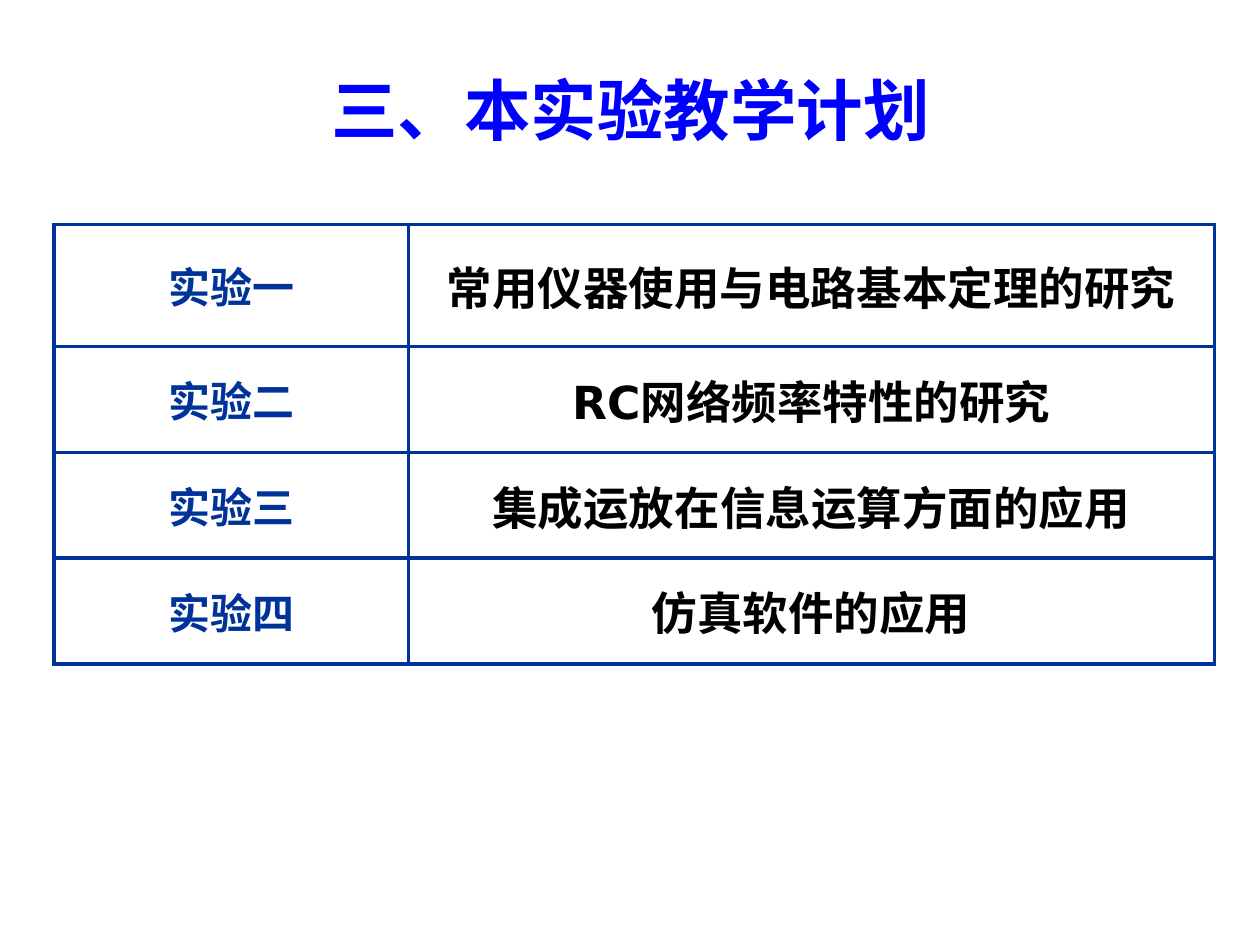
from lxml import etree
from pptx import Presentation
from pptx import util as u
from pptx.dml.color import RGBColor
from pptx.enum import text as t
from pptx.oxml import ns

NAVY, BLUE, BLACK = "003399", "0000FF", "000000"
HEADING_FONT, LABEL_FONT = "DejaVu Sans", "Arial"

EXPERIMENTS = [
    ("实验一", "常用仪器使用与电路基本定理的研究"),
    ("实验二", "RC网络频率特性的研究"),
    ("实验三", "集成运放在信息运算方面的应用"),
    ("实验四", "仿真软件的应用"),
]


def colour(code):
    return RGBColor.from_string(code)


def write(frame, words, size, font, fill):
    paragraph = frame.paragraphs[0]
    paragraph.alignment = t.PP_ALIGN.CENTER
    run = paragraph.add_run()
    run.text = words
    run.font.size = u.Pt(size)
    run.font.name = font
    run.font.bold = True
    run.font.color.rgb = colour(fill)


class PlanSlide:
    def __init__(self, slide, line_colour=NAVY, line_width=2.25):
        self.slide = slide
        self.line_colour = line_colour
        self.line_width = line_width

    def title(self, words, left, top, width, height, **style):
        box = self.slide.shapes.add_textbox(
            *map(u.Inches, (left, top, width, height)))
        box.text_frame.word_wrap = True
        box.text_frame.vertical_anchor = t.MSO_ANCHOR.BOTTOM
        write(box.text_frame, words, **style)

    def border(self, cell):
        properties = cell._tc.get_or_add_tcPr()
        for position, side in enumerate(("lnL", "lnR", "lnT", "lnB")):
            line = etree.Element(ns.qn(f"a:{side}"),
                                 w=str(u.Pt(self.line_width)))
            fill = etree.SubElement(line, ns.qn("a:solidFill"))
            etree.SubElement(fill, ns.qn("a:srgbClr"), val=self.line_colour)
            properties.insert(position, line)

    def table(self, rows, left, top, widths, heights, styles):
        """Draw a ruled table without fill; styles holds one format per column."""
        frame = self.slide.shapes.add_table(
            len(rows), len(widths),
            *map(u.Inches, (left, top, sum(widths), sum(heights))))
        grid = frame.table
        grid.first_row = grid.horz_banding = False
        for column, width in zip(grid.columns, widths):
            column.width = u.Inches(width)
        for row, height, entries in zip(grid.rows, heights, rows):
            row.height = u.Inches(height)
            for cell, words, style in zip(row.cells, entries, styles):
                cell.fill.background()
                cell.vertical_anchor = t.MSO_ANCHOR.MIDDLE
                write(cell.text_frame, words, **style)
                self.border(cell)


def main():
    deck = Presentation()
    deck.slide_width, deck.slide_height = u.Inches(10), u.Inches(7.5)
    plan = PlanSlide(deck.slides.add_slide(deck.slide_layouts[6]))
    plan.table(
        EXPERIMENTS, 0.43, 1.78, widths=[2.81, 6.4],
        heights=[0.97] + [0.84] * 3,
        styles=[dict(size=24, font=LABEL_FONT, fill=NAVY),
                dict(size=26, font=HEADING_FONT, fill=BLACK)])
    plan.title("三、本实验教学计划", 0.63, 0.33, 8.75, 0.9,
               size=38, font=HEADING_FONT, fill=BLUE)
    deck.save("out.pptx")


if __name__ == "__main__":
    main()
